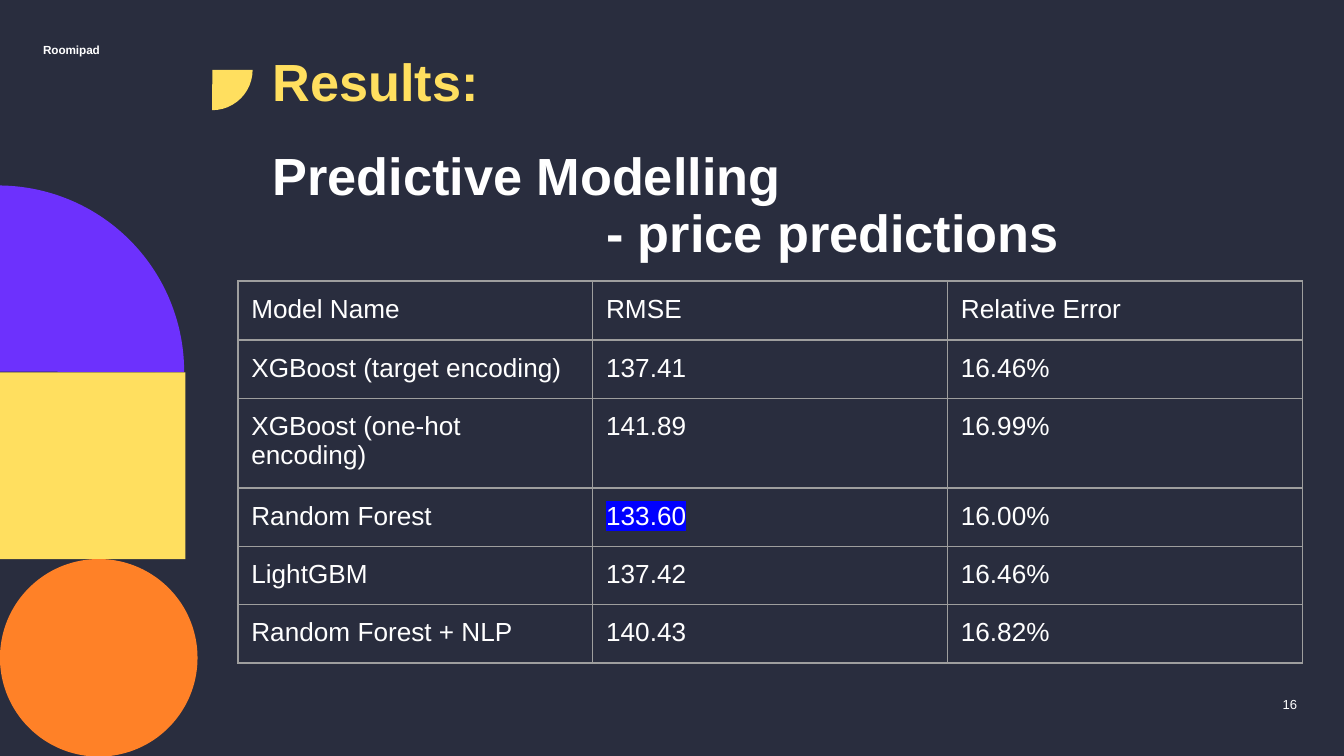
"""Build the results slide with the price prediction models table."""
import pptx
import pptx.util
import pptx.dml.color
import pptx.enum.shapes
import pptx.enum.text
import pptx.oxml
import pptx.oxml.ns

Inches, Pt = pptx.util.Inches, pptx.util.Pt
SHAPE = pptx.enum.shapes.MSO_SHAPE
ALIGN, ANCHOR = pptx.enum.text.PP_ALIGN, pptx.enum.text.MSO_ANCHOR
NAMESPACE = pptx.oxml.ns.nsdecls("a")

NAVY, WHITE, YELLOW = "292D3E", "FFFFFF", "FFDF5F"
PURPLE, ORANGE, BLUE, GREY = "6D31FD", "FF8127", "0000FF", "9E9E9E"

SLIDE_WIDTH = 10
SLIDE_HEIGHT = SLIDE_WIDTH * 9 / 16
DECORATIONS = [
    (SHAPE.PIE, (-1.4, 1.38, 2.77, 2.77), 270, PURPLE),
    (SHAPE.RECTANGLE, (-0.01, 2.77, 1.39, 1.39), 0, YELLOW),
    (SHAPE.OVAL, (0, 4.16, 1.47, 1.47), 0, ORANGE),
    (SHAPE.PIE, (1.28, 0.22, 0.6, 0.6), 0, YELLOW),
]
TITLE_LOOK = {"size": 28, "bold": True, "spacing": 0.9, "insets": (0, 0, 0.1, 0)}
RESULTS = [
    ("Model Name", "RMSE", "Relative Error"),
    ("XGBoost (target encoding)", "137.41", "16.46%"),
    ("XGBoost (one-hot encoding)", "141.89", "16.99%"),
    ("Random Forest", "133.60", "16.00%"),
    ("LightGBM", "137.42", "16.46%"),
    ("Random Forest + NLP", "140.43", "16.82%"),
]
BEST_RMSE = "133.60"
TABLE_LEFT, TABLE_TOP, TABLE_HEIGHT = 1.77, 2.09, 2.84
COLUMN_WIDTH, HEADER_HEIGHT, ROW_HEIGHT = 2.64, 0.44, 0.42


def rgb(color):
    return pptx.dml.color.RGBColor.from_string(color)


def style(para, size, color=WHITE, bold=False):
    para.font.name = "Arial"
    para.font.size = Pt(size)
    para.font.bold = bold
    para.font.color.rgb = rgb(color)


def set_insets(holder, insets):
    (holder.margin_left, holder.margin_top,
     holder.margin_right, holder.margin_bottom) = map(Inches, insets)


def add_decoration(page, kind, place, rotation, color):
    shape = page.shapes.add_shape(kind, *map(Inches, place))
    if kind == SHAPE.PIE:
        shape.adjustments[0], shape.adjustments[1] = 0, 54.09
    shape.rotation = rotation
    shape.shadow.inherit = False
    shape.fill.solid()
    shape.fill.fore_color.rgb = rgb(color)
    shape.line.fill.background()


def add_text(page, place, lines, size, color=WHITE, bold=False, spacing=1.0,
             insets=(0.1, 0.1, 0.1, 0.1), anchor=ANCHOR.TOP, align=ALIGN.LEFT):
    frame = page.shapes.add_textbox(*map(Inches, place)).text_frame
    frame.word_wrap = True
    frame.vertical_anchor = anchor
    set_insets(frame, insets)
    for index, (text, indent) in enumerate(lines):
        para = frame.add_paragraph() if index else frame.paragraphs[0]
        para.text = text
        para.alignment = align
        para.line_spacing = spacing
        if indent:
            para._p.get_or_add_pPr().set("marL", str(Inches(indent)))
        style(para, size, color, bold)


def add_borders(cell):
    properties = cell._tc.get_or_add_tcPr()
    for side in ("lnL", "lnR", "lnT", "lnB"):
        properties.append(pptx.oxml.parse_xml(
            f'<a:{side} {NAMESPACE} w="{Pt(0.75)}"><a:solidFill>'
            f'<a:srgbClr val="{GREY}"/></a:solidFill></a:{side}>'))


def highlight(span, color):
    span._r.get_or_add_rPr().append(pptx.oxml.parse_xml(
        f'<a:highlight {NAMESPACE}><a:srgbClr val="{color}"/></a:highlight>'))


def add_results_table(page):
    columns = len(RESULTS[0])
    holder = page.shapes.add_table(
        len(RESULTS), columns, Inches(TABLE_LEFT), Inches(TABLE_TOP),
        Inches(columns * COLUMN_WIDTH), Inches(TABLE_HEIGHT))
    table = holder.table
    table.first_row = table.horz_banding = False
    for column in table.columns:
        column.width = Inches(COLUMN_WIDTH)
    for index, (row, values) in enumerate(zip(table.rows, RESULTS)):
        row.height = Inches(ROW_HEIGHT if index else HEADER_HEIGHT)
        for cell, value in zip(row.cells, values):
            cell.text = value
            set_insets(cell, (0.1, 0.1, 0.1, 0.1))
            add_borders(cell)
            cell.fill.background()
            para = cell.text_frame.paragraphs[0]
            style(para, 14)
            if value == BEST_RMSE:
                highlight(para.runs[0], BLUE)
    holder.height = Inches(TABLE_HEIGHT)


def main():
    deck = pptx.Presentation()
    deck.slide_width, deck.slide_height = Inches(SLIDE_WIDTH), Inches(SLIDE_HEIGHT)
    page = deck.slides.add_slide(deck.slide_layouts[6])
    page.background.fill.solid()
    page.background.fill.fore_color.rgb = rgb(NAVY)
    for decoration in DECORATIONS:
        add_decoration(page, *decoration)
    add_text(page, (7.35, 5.12, 2.4, 0.32), [("16", 0)], 7, align=ALIGN.RIGHT)
    add_text(page, (2.03, 0.42, 6.15, 0.89), [("Results:", 0)],
             color=YELLOW, **TITLE_LOOK)
    add_text(page, (2.03, 1.12, 6.15, 0.89),
             [("Predictive Modelling", 0), ("- price predictions", 2.48)],
             **TITLE_LOOK)
    add_results_table(page)
    add_text(page, (0.32, 0.18, 2.31, 0.24), [("Roomipad", 0)], 6.3, bold=True,
             spacing=1.3, insets=(0, 0.1, 0.1, 0), anchor=ANCHOR.BOTTOM)
    deck.save("out.pptx")


if __name__ == "__main__":
    main()
